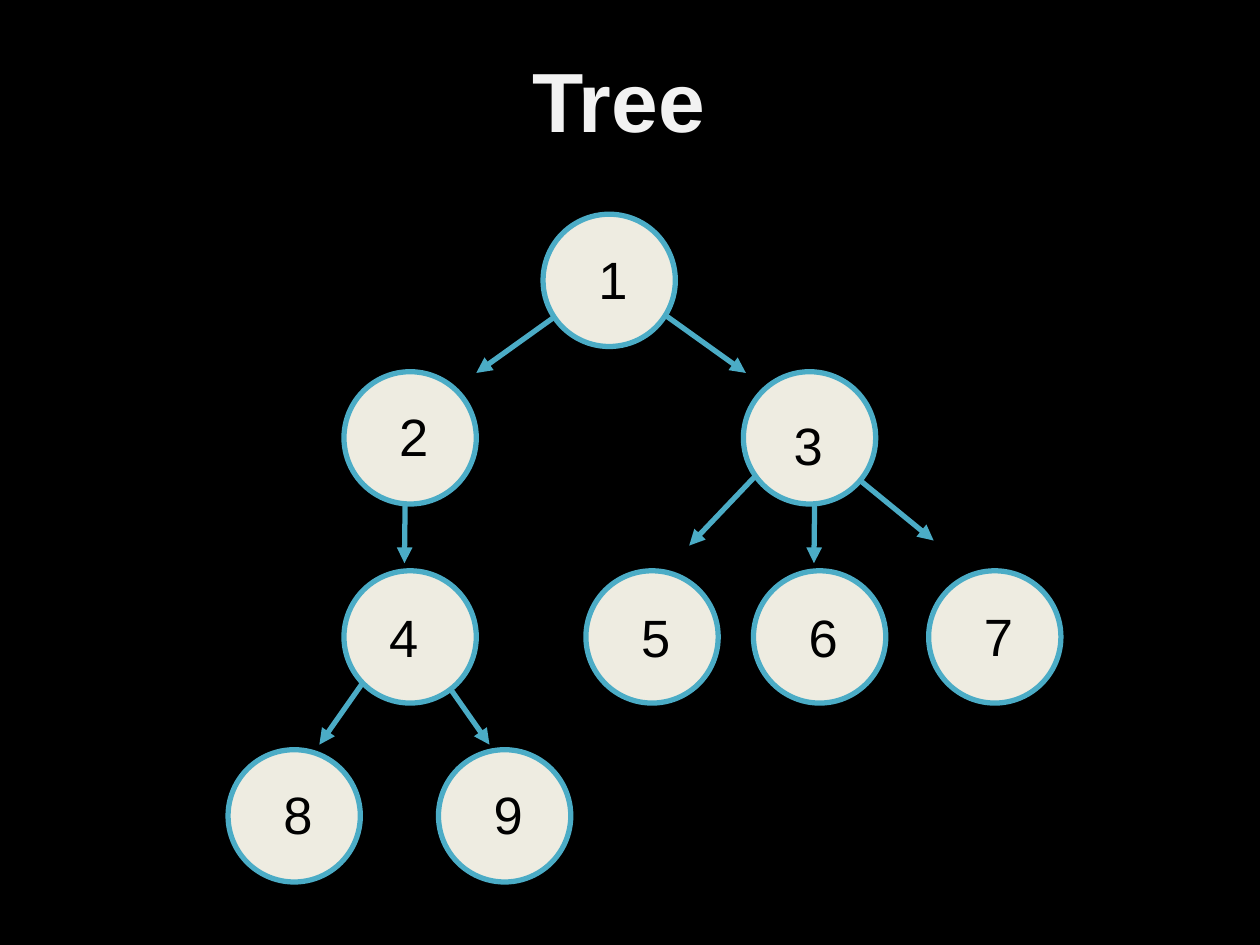
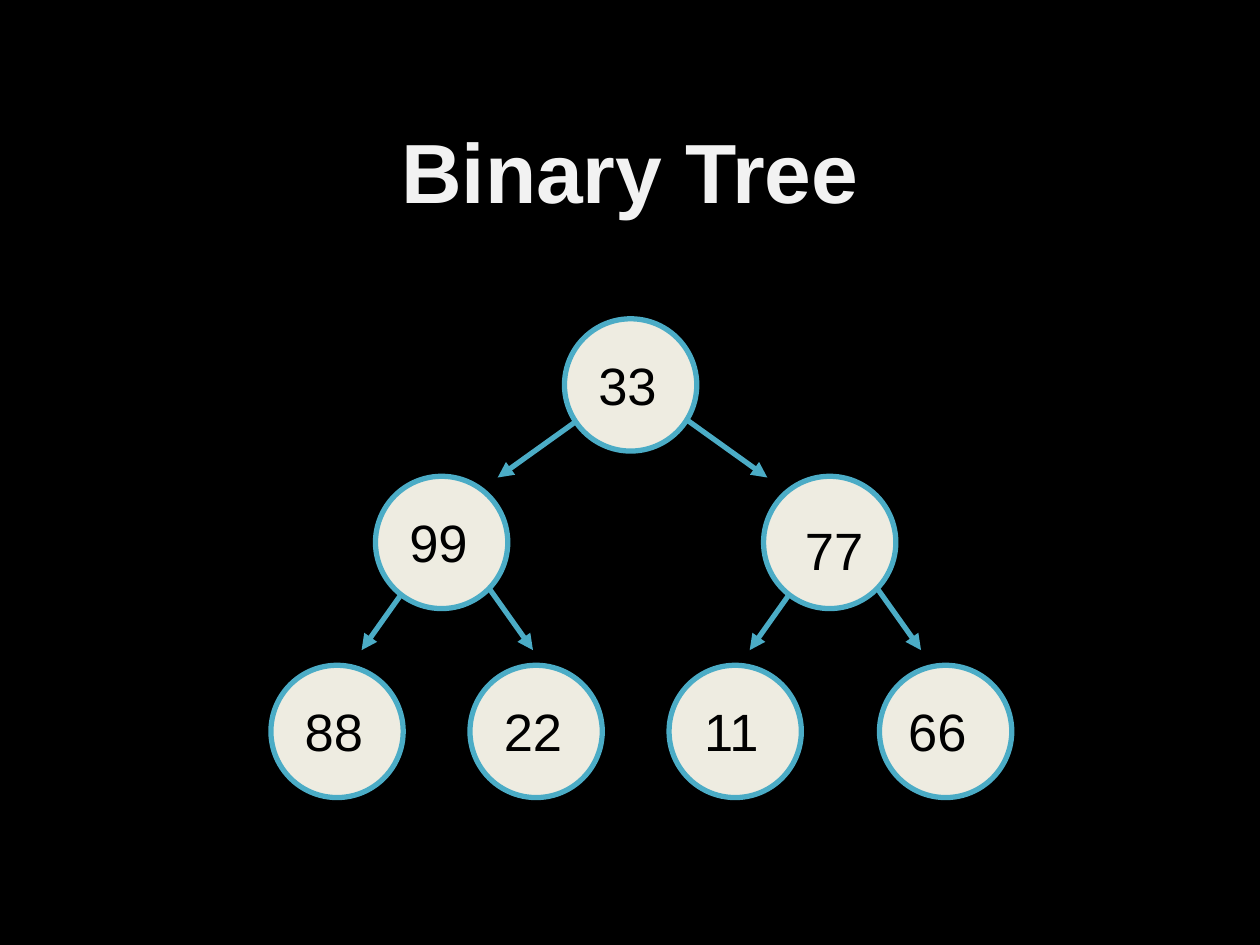
from dataclasses import dataclass

from lxml.etree import SubElement
from pptx import Presentation
from pptx.dml.color import RGBColor
from pptx.enum.shapes import MSO_CONNECTOR, MSO_SHAPE
from pptx.enum.text import MSO_ANCHOR, PP_ALIGN
from pptx.oxml.ns import qn
from pptx.util import Inches, Pt


@dataclass(frozen=True)
class Theme:
    """Colours, type and measures that both slides share."""
    background: RGBColor = RGBColor(0x00, 0x00, 0x00)
    title: RGBColor = RGBColor(0xF2, 0xF2, 0xF2)
    node: RGBColor = RGBColor(0xEE, 0xEC, 0xE1)
    accent: RGBColor = RGBColor(0x4B, 0xAC, 0xC6)
    number: RGBColor = RGBColor(0x00, 0x00, 0x00)
    font: str = "Arial"
    title_size: int = 48
    number_size: int = 30
    stroke: int = 3
    diameter: float = 10.5


@dataclass(frozen=True)
class Node:
    """A numbered circle; its label box is given relative to the circle."""
    number: str
    left: float
    top: float
    label_dx: float = 3.4
    label_dy: float = 1.6
    label_width: float = 8.1
    label_height: float = 7.6


THEME = Theme()
COLUMNS = 100  # the slide is 100 columns by 75 rows of square cells
WIDTH, HEIGHT = Inches(10), Inches(7.5)


def cells(*lengths):
    """Turn grid lengths into slide units."""
    return [round(length * WIDTH / COLUMNS) for length in lengths]


def add_text(slide, text, box, size, color, inset_y=1.0, bold=False,
             align=None, anchor=MSO_ANCHOR.TOP):
    """Put one run of text in a wrapping text box."""
    frame = slide.shapes.add_textbox(*cells(*box)).text_frame
    frame.word_wrap = True
    frame.vertical_anchor = anchor
    frame.margin_left, frame.margin_right = cells(1, 1)
    frame.margin_top, frame.margin_bottom = cells(inset_y, inset_y)
    paragraph = frame.paragraphs[0]
    paragraph.alignment = align
    run = paragraph.add_run()
    run.text = text
    run.font.name = THEME.font
    run.font.size = Pt(size)
    run.font.bold = bold
    run.font.color.rgb = color


def add_title(slide, text, left, top):
    """Write the centred slide title."""
    add_text(slide, text, (left, top, 82.4, 19.1), THEME.title_size, THEME.title,
             inset_y=0.5, bold=True, align=PP_ALIGN.CENTER, anchor=MSO_ANCHOR.MIDDLE)


def add_circle(slide, node):
    """Draw the circle of a node."""
    circle = slide.shapes.add_shape(
        MSO_SHAPE.OVAL, *cells(node.left, node.top, THEME.diameter, THEME.diameter))
    circle.shadow.inherit = False
    circle.fill.solid()
    circle.fill.fore_color.rgb = THEME.node
    circle.line.color.rgb = THEME.accent
    circle.line.width = Pt(THEME.stroke)


def add_number(slide, node):
    """Write the number of a node over its circle."""
    box = (node.left + node.label_dx, node.top + node.label_dy,
           node.label_width, node.label_height)
    add_text(slide, node.number, box, THEME.number_size, THEME.number)


def add_arrow(slide, parent, dx, dy, run, drop):
    """Draw an arrow that starts at (dx, dy) within the parent's box."""
    x, y = parent.left + dx, parent.top + dy
    arrow = slide.shapes.add_connector(
        MSO_CONNECTOR.STRAIGHT, *cells(x, y, x + run, y + drop))
    arrow.line.color.rgb = THEME.accent
    arrow.line.width = Pt(THEME.stroke)
    SubElement(arrow.line._get_or_add_ln(), qn("a:tailEnd"), type="triangle")
    SubElement(arrow._element.spPr, qn("a:effectLst"))


def fork(middle, half_gap, dy, run, drop):
    """Return two mirrored arrows, left and right of a middle line."""
    return [(middle + side * half_gap, dy, side * run, drop) for side in (-1, 1)]


ROOT_FORK = fork(5.4, 2.6, 6.8, 8.1, 5.8)


def add_tree_slide(deck, title, title_place, nodes, arrows):
    """Build a slide with arrows behind circles and numbers on top."""
    slide = deck.slides.add_slide(deck.slide_layouts[6])
    slide.background.fill.solid()
    slide.background.fill.fore_color.rgb = THEME.background
    by_number = {node.number: node for node in nodes}
    for parent, branches in arrows.items():
        for branch in branches:
            add_arrow(slide, by_number[parent], *branch)
    add_title(slide, title, *title_place)
    for node in nodes:
        add_circle(slide, node)
    for node in nodes:
        add_number(slide, node)


def add_general_tree(deck):
    """Build the tree whose nodes have one to three children."""
    root, second, third, leaves = 17, 29.5, 45.3, 59.5
    nodes = [
        Node("1", 43.1, root, label_height=5.8),
        Node("2", 27.3, second, label_width=9.9),
        Node("3", 59, second, 3, 2.3, 10.5),
        Node("4", 27.3, third, 2.6, 1.7, 6.3),
        Node("5", 46.5, third, label_dy=1.7),
        Node("6", 59.8, third, 3.4, 1.7, 6.3, 5.8),
        Node("7", 73.7, third, 3.4, 1.6, 10.5, 9.2),
        Node("8", 18.1, leaves),
        Node("9", 34.8, leaves, 3.4, 1.6, 6.3, 5.8),
    ]
    arrows = {
        "1": ROOT_FORK,
        "2": [(4.9, 6.7, -0.1, 8.5)],
        "3": [(1.6, 7.6, -5.9, 6.2), (5.7, 6.7, -0.1, 8.5), (8, 7.6, 7.1, 5.8)],
        "4": fork(4.8, 2.4, 7.6, 4.35, 6.2),
    }
    add_tree_slide(deck, "Tree", (7.9, -1.7), nodes, arrows)


def add_binary_tree(deck):
    """Build the tree whose nodes have two children each."""
    root, second, leaves = 25.3, 37.8, 52.8
    nodes = [
        Node("33", 44.8, root, 1.7, 1.7, 8.1, 5.8),
        Node("99", 29.8, second, 1.7, 1.7, 9.9),
        Node("77", 60.6, second, 2.3, 2.3, 10.5),
        Node("88", 21.5, leaves, 1.7, 1.7, 10.5),
        Node("22", 37.3, leaves, 1.7, 1.7, 10.5, 9.2),
        Node("11", 53.1, leaves, 1.8, 1.7),
        Node("66", 69.8, leaves, 1.3, 1.7, 7.5, 5.8),
    ]
    child_fork = fork(5.7, 2.4, 7.6, 4.4, 6.2)
    arrows = {"33": ROOT_FORK, "99": child_fork, "77": child_fork}
    add_tree_slide(deck, "Binary Tree", (8.8, 3.9), nodes, arrows)


def main():
    """Build and save the two slides."""
    deck = Presentation()
    deck.slide_width, deck.slide_height = WIDTH, HEIGHT
    add_general_tree(deck)
    add_binary_tree(deck)
    deck.save("out.pptx")


main()
